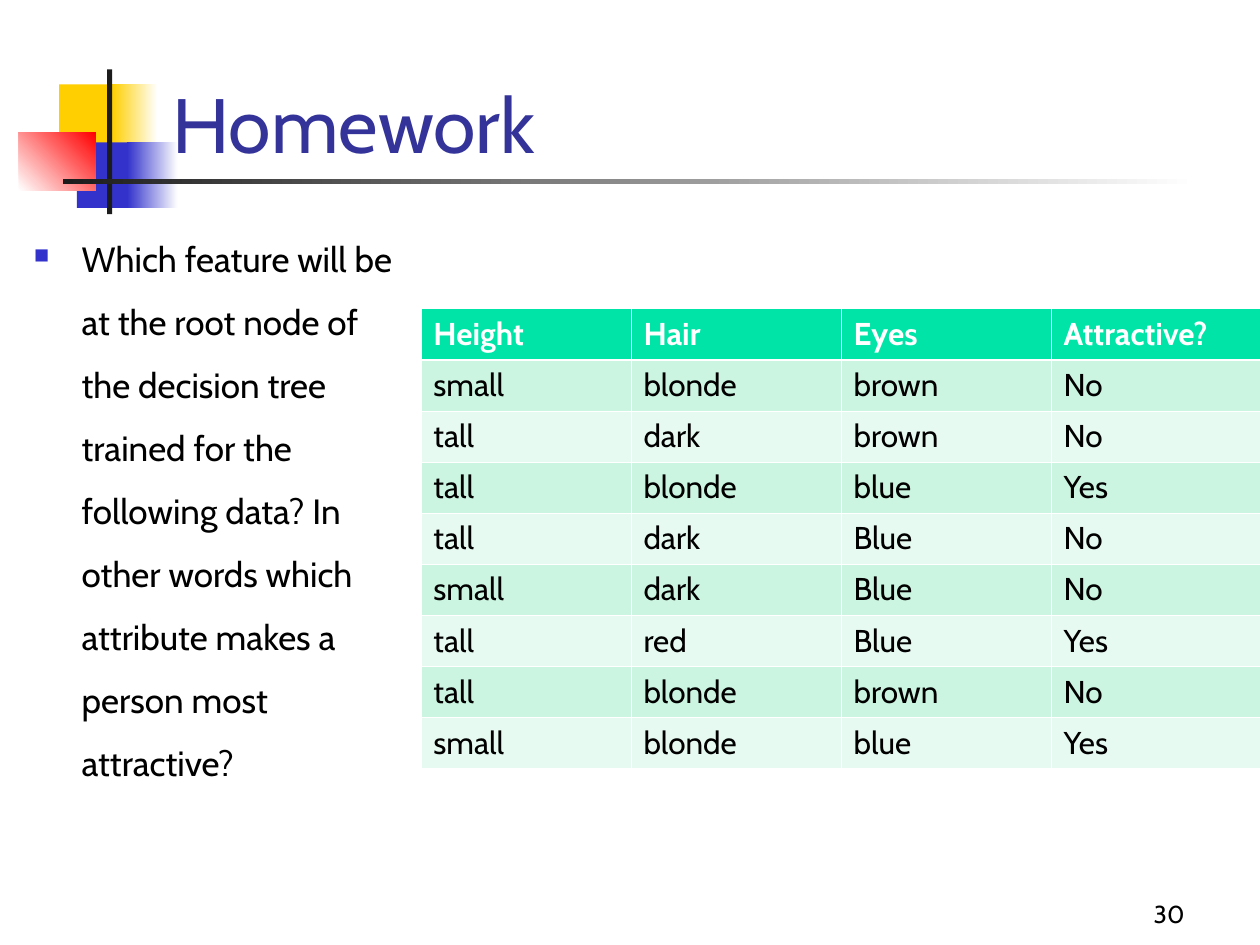
"""Build the homework slide: a title, a question and a data table."""
import dataclasses
import typing

import lxml.etree
import pptx
import pptx.dml.color
import pptx.enum.shapes
import pptx.enum.text
import pptx.oxml.ns
import pptx.util

RGB = pptx.dml.color.RGBColor
ANCHOR = pptx.enum.text.MSO_ANCHOR
ALIGN = pptx.enum.text.PP_ALIGN

WIDTH = pptx.util.Inches(10)
HEIGHT = pptx.util.Inches(7.5)
COLS, ROWS = 1000, 750
FONT = "Cabin"

GOLD = RGB(0xFF, 0xCF, 0x01)
BLUE = RGB(0x33, 0x33, 0xCC)
RED = RGB(0xFF, 0x00, 0x00)
INK = RGB(0x1C, 0x1C, 0x1C)
NAVY = RGB(0x33, 0x33, 0x99)
BLACK = RGB(0x00, 0x00, 0x00)
WHITE = RGB(0xFF, 0xFF, 0xFF)
GREEN = RGB(0x00, 0xE4, 0xA8)
MINT = RGB(0xCB, 0xF5, 0xE1)
PALE = RGB(0xE7, 0xFA, 0xF1)

QUERY = (
    "Which feature will be at the root node of the decision tree trained for "
    "the following data? In other words which attribute makes a person most attractive?"
)
DATA = (
    ("Height", "Hair", "Eyes", "Attractive?"),
    ("small", "blonde", "brown", "No"),
    ("tall", "dark", "brown", "No"),
    ("tall", "blonde", "blue", "Yes"),
    ("tall", "dark", "Blue", "No"),
    ("small", "dark", "Blue", "No"),
    ("tall", "red", "Blue", "Yes"),
    ("tall", "blonde", "brown", "No"),
    ("small", "blonde", "blue", "Yes"),
)


@dataclasses.dataclass(frozen=True)
class Area:
    """A block of grid columns and rows."""

    col: int
    row: int
    wide: int
    high: int

    def place(self) -> tuple[int, int, int, int]:
        """Return left, top, width and height on the slide."""
        return (
            WIDTH * self.col // COLS,
            HEIGHT * self.row // ROWS,
            WIDTH * self.wide // COLS,
            HEIGHT * self.high // ROWS,
        )


@dataclasses.dataclass(frozen=True)
class Block:
    """A rectangle with a plain fill, or a fade from one colour to another."""

    area: Area
    start: RGB
    end: typing.Optional[RGB] = None
    angle: int = 0


@dataclasses.dataclass(frozen=True)
class Label:
    """A text box with a single style."""

    area: Area
    text: str
    size: int
    color: RGB
    anchor: ANCHOR = ANCHOR.BOTTOM
    align: ALIGN = ALIGN.LEFT


BLOCKS = (
    Block(Area(47, 67, 48, 52), GOLD),
    Block(Area(89, 67, 36, 52), GOLD, WHITE),
    Block(Area(61, 113, 46, 52), BLUE),
    Block(Area(101, 113, 40, 52), BLUE, WHITE),
    Block(Area(15, 105, 61, 46), WHITE, RED, 45),
    Block(Area(85, 55, 4, 115), INK),
    Block(Area(50, 142, 900, 4), INK, WHITE),
)
TITLE = Label(Area(127, 14, 852, 125), "Homework", 44, NAVY)
BODY = Label(Area(17, 167, 317, 569), QUERY, 20, BLACK, ANCHOR.TOP)
PAGE = Label(Area(742, 692, 208, 50), "30", 14, BLACK, align=ALIGN.RIGHT)
GRID = Area(334, 245, 667, 365)


def add_node(owner: typing.Any, tag: str, **attrs: str) -> typing.Any:
    """Append a drawing element and return it."""
    return lxml.etree.SubElement(owner, pptx.oxml.ns.qn(f"a:{tag}"), attrs)


def style(para: typing.Any, size: int, color: RGB, bold: bool = False) -> None:
    """Format every run of a paragraph."""
    for run in para.runs:
        run.font.name = FONT
        run.font.size = pptx.util.Pt(size)
        run.font.bold = bold
        run.font.color.rgb = color


def draw_block(slide: typing.Any, block: Block) -> None:
    """Draw one rectangle."""
    shape = slide.shapes.add_shape(
        pptx.enum.shapes.MSO_SHAPE.RECTANGLE, *block.area.place()
    )
    shape.shadow.inherit = False
    shape.line.fill.background()
    if block.end is None:
        shape.fill.solid()
        shape.fill.fore_color.rgb = block.start
        return
    shape.fill.gradient()
    shape.fill.gradient_angle = block.angle
    for stop, color in zip(shape.fill.gradient_stops, (block.start, block.end)):
        stop.color.rgb = color


def draw_label(slide: typing.Any, label: Label) -> typing.Any:
    """Draw one text box and return its paragraph."""
    frame = slide.shapes.add_textbox(*label.area.place()).text_frame
    frame.word_wrap = True
    frame.vertical_anchor = label.anchor
    frame.text = label.text
    para = frame.paragraphs[0]
    para.alignment = label.align
    style(para, label.size, label.color)
    return para


def add_bullet(para: typing.Any) -> None:
    """Give a paragraph a square bullet and wide lines."""
    para.line_spacing = 1.5
    para.space_before = pptx.util.Pt(5)
    props = para._p.get_or_add_pPr()
    indent = pptx.util.Inches(0.38)
    props.set("marL", str(indent))
    props.set("indent", str(-indent))
    add_node(add_node(props, "buClr"), "srgbClr", val=str(BLUE))
    add_node(props, "buSzPct", val="60000")
    add_node(props, "buChar", char="■")


def draw_edge(cell: typing.Any, side: str, width: float) -> None:
    """Draw one white border of a cell."""
    line = add_node(
        cell._tc.get_or_add_tcPr(), f"ln{side}", w=str(pptx.util.Pt(width))
    )
    add_node(add_node(line, "solidFill"), "srgbClr", val=str(WHITE))


def draw_table(slide: typing.Any, area: Area, data: tuple) -> None:
    """Draw the data with a header row and banded rows."""
    table = slide.shapes.add_table(len(data), len(data[0]), *area.place()).table
    for row, words in enumerate(data):
        head = row == 0
        tint = GREEN if head else MINT if row % 2 else PALE
        for col, word in enumerate(words):
            cell = table.cell(row, col)
            cell.text = word
            style(cell.text_frame.paragraphs[0], 18, WHITE if head else BLACK, head)
            for side in "LRTB":
                thick = (row, side) in ((0, "B"), (1, "T"))
                draw_edge(cell, side, 1.47 if thick else 0.45)
            cell.fill.solid()
            cell.fill.fore_color.rgb = tint


def main() -> None:
    """Build and save the slide."""
    deck = pptx.Presentation()
    deck.slide_width, deck.slide_height = WIDTH, HEIGHT
    slide = deck.slides.add_slide(deck.slide_layouts[6])
    for block in BLOCKS:
        draw_block(slide, block)
    draw_label(slide, TITLE)
    add_bullet(draw_label(slide, BODY))
    draw_label(slide, PAGE)
    draw_table(slide, GRID, DATA)
    deck.save("out.pptx")


if __name__ == "__main__":
    main()
